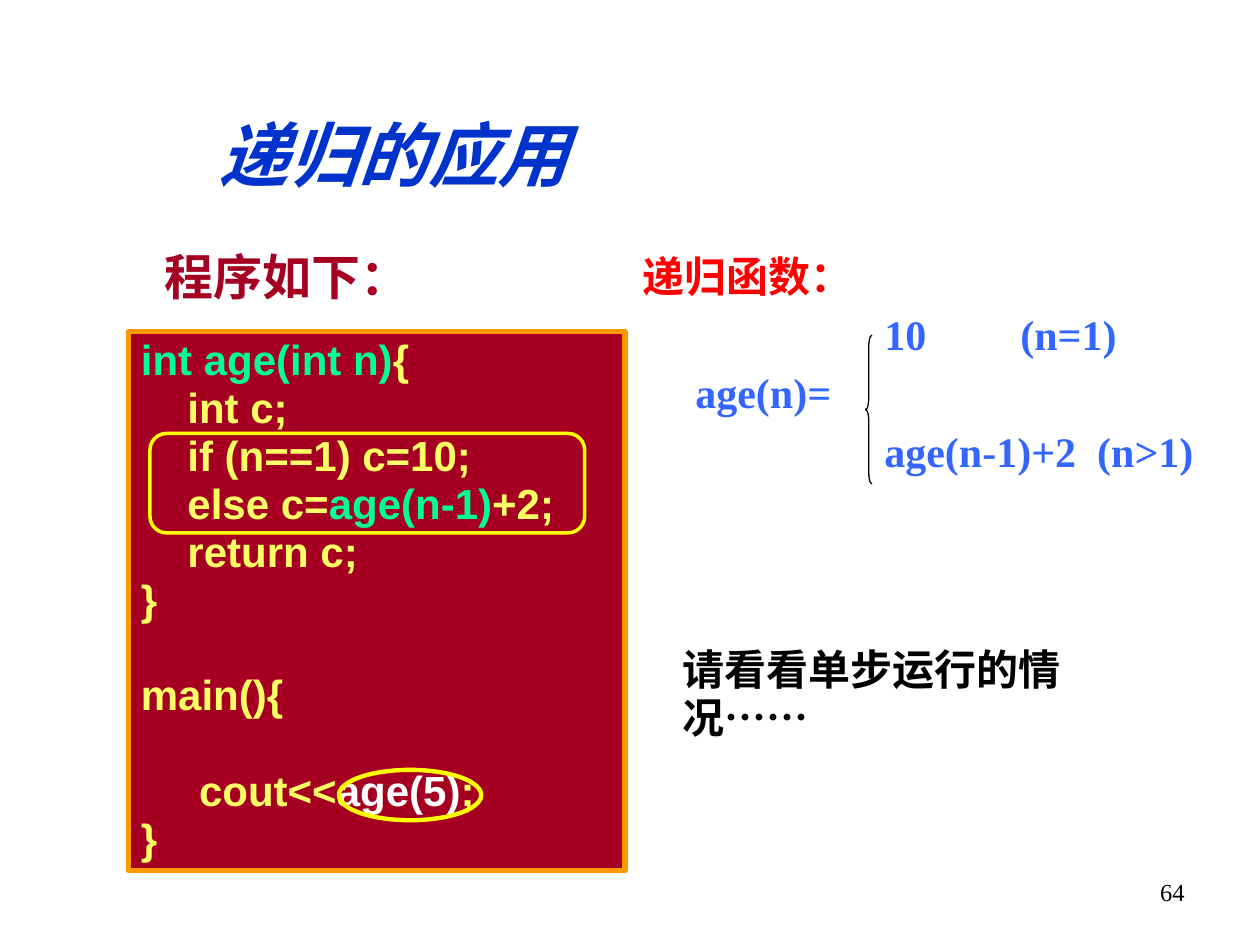
from lxml.etree import SubElement
from pptx import Presentation
from pptx.dml.color import RGBColor
from pptx.enum.shapes import MSO_SHAPE
from pptx.enum.text import MSO_ANCHOR, PP_ALIGN
from pptx.oxml.ns import qn
from pptx.util import Inches, Pt

COLORS = {
    "title": "0033CC", "crimson": "A50021", "orange": "FF9900",
    "code": "FFFF66", "call": "00FF99", "result": "FFFFFF",
    "mark": "FFFF00", "red": "FF0000", "formula": "3366FF", "ink": "000000",
}
WIDTH, HEIGHT = Inches(10), Inches(7.5)
CJK, SERIF, SANS = "Noto Sans CJK SC", "Times New Roman", "Arial"

CODE = [
    [("int age(int n)", "call"), ("{", "code")],
    [("    int c;", "code")],
    [("    if (n==1) c=10;", "code")],
    [("    else c=", "code"), ("age(n-1)", "call"), ("+2;", "code")],
    [("    return c;", "code")],
    [("}", "code")],
    [],
    [("main(){", "code")],
    [],
    [("     cout<<", "code"), ("age(5)", "result"), (";", "code")],
    [("}", "code")],
]
FORMULA = [
    ("\t递归函数：", "red", CJK, [0.08]),
    ("\t10\t(n=1)", "formula", SERIF, [2, 3.08]),
    ("\tage(n)=", "formula", SERIF, [0.5]),
    ("\tage(n-1)+2\t(n>1)", "formula", SERIF, [2, 3.69]),
]


def color(name):
    return RGBColor.from_string(COLORS[name])


def area(left, top, width, height):
    return [int(WIDTH * left / 100), int(HEIGHT * top / 100),
            int(WIDTH * width / 100), int(HEIGHT * height / 100)]


def style(span, size, font, tint, bold=True):
    span.font.size = Pt(size)
    span.font.name = font
    span.font.bold = bold
    span.font.color.rgb = color(tint)
    east = SubElement(span.font._element, qn("a:ea"))
    east.set("typeface", CJK)


def add_tabs(para, stops):
    tabs = SubElement(para._p.get_or_add_pPr(), qn("a:tabLst"))
    for stop in stops:
        tab = SubElement(tabs, qn("a:tab"))
        tab.set("pos", str(Inches(stop)))
        tab.set("algn", "l")


def add_label(page, place, text, size, font, tint, wrap=True, bold=True):
    box = page.shapes.add_textbox(*place)
    box.text_frame.word_wrap = wrap
    para = box.text_frame.paragraphs[0]
    para.text = text
    para.line_spacing = 0.95
    style(para.runs[0], size, font, tint, bold)
    return para


def add_outline(page, kind, place, line, weight, fill=None):
    shape = page.shapes.add_shape(kind, *place)
    shape.shadow.inherit = False
    shape.line.color.rgb = color(line)
    shape.line.width = Pt(weight)
    if fill:
        shape.fill.solid()
        shape.fill.fore_color.rgb = color(fill)
    else:
        shape.fill.background()
    return shape


def add_code(page, place):
    shape = add_outline(page, MSO_SHAPE.RECTANGLE, place, "orange", 3.25, "crimson")
    frame = shape.text_frame
    frame.word_wrap = True
    frame.vertical_anchor = MSO_ANCHOR.TOP
    for index, spans in enumerate(CODE):
        para = frame.add_paragraph() if index else frame.paragraphs[0]
        para.alignment = PP_ALIGN.LEFT
        para.line_spacing = 0.95
        if not spans:
            para.font.size = Pt(24)
            end = SubElement(para._p, qn("a:endParaRPr"))
            end.set("sz", "2400")
            SubElement(end, qn("a:latin")).set("typeface", SANS)
        for text, tint in spans:
            span = para.add_run()
            span.text = text
            style(span, 24, SANS, tint)


def add_formula(page, place):
    frame = page.shapes.add_textbox(*place).text_frame
    frame.word_wrap = True
    for index, (text, tint, font, stops) in enumerate(FORMULA):
        para = frame.add_paragraph() if index else frame.paragraphs[0]
        add_tabs(para, stops)
        para.line_spacing = 0.95
        para.space_before = Pt(6 if index else 0)
        span = para.add_run()
        span.text = text
        style(span, 24, font, tint)


def set_title(page, place, text):
    title = page.shapes.title
    title.left, title.top, title.width, title.height = place
    frame = title.text_frame
    frame.text = text
    frame.word_wrap = True
    frame.vertical_anchor = MSO_ANCHOR.MIDDLE
    frame.margin_left = frame.margin_right = frame.margin_top = frame.margin_bottom = 0
    para = frame.paragraphs[0]
    para.alignment = PP_ALIGN.CENTER
    span = para.runs[0]
    style(span, 40, SERIF, "title")
    span.font.italic = True
    effects = span.font._element.makeelement(qn("a:effectLst"))
    span.font._element.find(qn("a:solidFill")).addnext(effects)
    shadow = SubElement(effects, qn("a:outerShdw"), dist="17961", dir="2700000")
    SubElement(shadow, qn("a:srgbClr")).set("val", COLORS["ink"])


def main():
    deck = Presentation()
    deck.slide_width, deck.slide_height = WIDTH, HEIGHT
    page = deck.slides.add_slide(deck.slide_layouts[5])
    set_title(page, area(14.8, 11.6, 32.8, 9.2), "递归的应用")

    number = add_label(page, area(71.7, 92.4, 23.3, 6.93), "64", 14, SERIF, "ink", bold=False)
    number.alignment = PP_ALIGN.RIGHT
    add_formula(page, area(49.2, 26.2, 48.4, 35.4))
    brace = add_outline(page, MSO_SHAPE.LEFT_BRACE, area(68.7, 35.47, 0.5, 15.73), "ink", 0.75)
    brace.adjustments[0] = 1.8

    add_code(page, area(10.2, 35.07, 39.4, 57.07))
    add_label(page, area(12.1, 25.87, 21.4, 7.33), "程序如下：", 28, CJK, "crimson", wrap=False)
    add_label(page, area(53.2, 67.87, 41, 6.4), "请看看单步运行的情况……", 24, CJK, "ink")
    add_outline(page, MSO_SHAPE.ROUNDED_RECTANGLE, area(11.9, 45.87, 34.5, 10.53), "mark", 2)
    add_outline(page, MSO_SHAPE.OVAL, area(26.9, 81.47, 11.3, 5.33), "mark", 2.5)
    deck.save("out.pptx")


if __name__ == "__main__":
    main()
